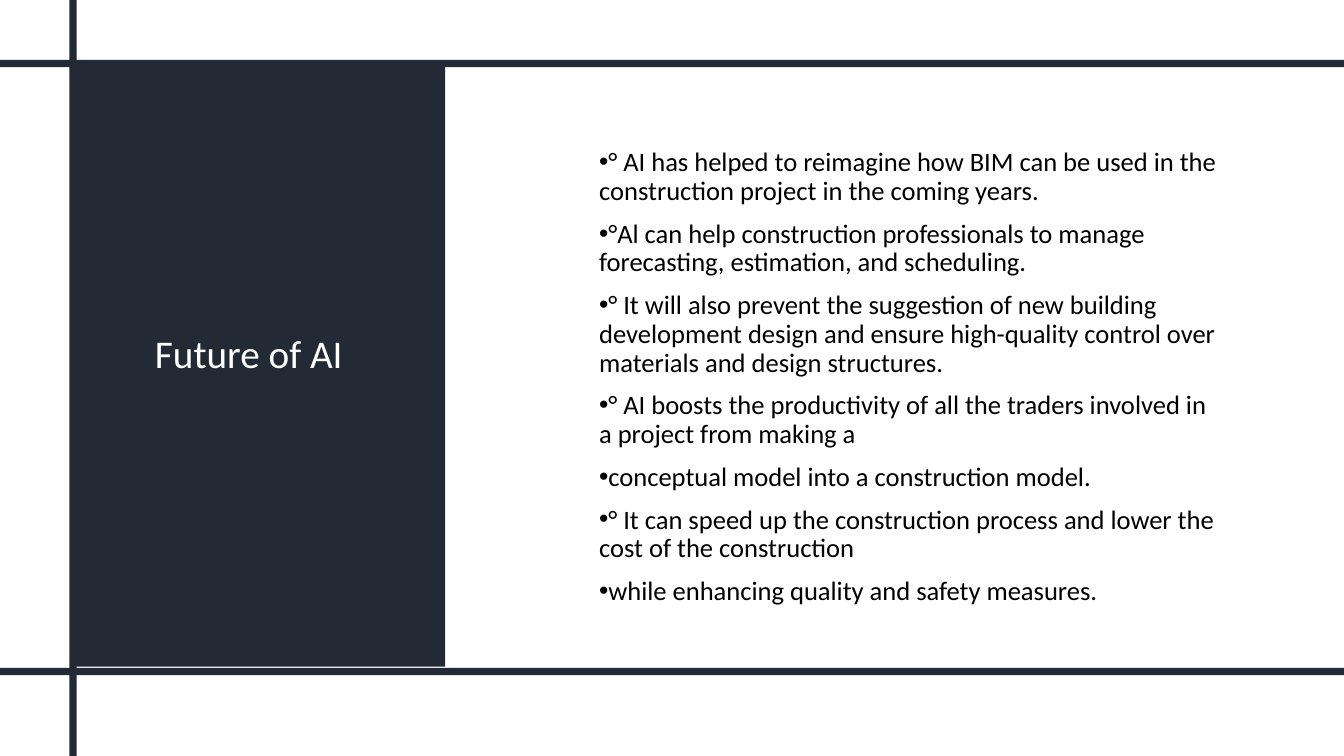
from lxml import etree
from pptx import Presentation
from pptx import util as u
from pptx.dml.color import RGBColor
from pptx.enum import shapes, text
from pptx.oxml.ns import qn

PX = 9525
WIDTH, HEIGHT = 1280, 720
BAR = 7
NAVY = RGBColor(0x22, 0x2A, 0x35)
WHITE = RGBColor(0xFF, 0xFF, 0xFF)
BLACK = RGBColor(0, 0, 0)
FONT = "Calibri"
TITLE = "Future of AI"
POINTS = [
    "° AI has helped to reimagine how BIM can be used in the construction project in the coming years.",
    "°Al can help construction professionals to manage forecasting, estimation, and scheduling.",
    "° It will also prevent the suggestion of new building development design and ensure "
    "high-quality control over materials and design structures.",
    "° AI boosts the productivity of all the traders involved in a project from making a",
    "conceptual model into a construction model.",
    "° It can speed up the construction process and lower the cost of the construction",
    "while enhancing quality and safety measures.",
]


def add_block(s, box):
    """Add a plain navy rectangle in the box."""
    sp = s.shapes.add_shape(shapes.MSO_SHAPE.RECTANGLE, *(v * PX for v in box))
    sp.shadow.inherit = False
    sp.fill.solid()
    sp.fill.fore_color.rgb = NAVY
    sp.line.fill.background()
    return sp


def place_text(sp, box):
    """Move a placeholder into the box and return its text frame."""
    sp.left, sp.top, sp.width, sp.height = (v * PX for v in box)
    tf = sp.text_frame
    tf.word_wrap = True
    tf.auto_size = text.MSO_AUTO_SIZE.NONE
    tf.vertical_anchor = text.MSO_ANCHOR.MIDDLE
    return tf


def write(p, words, size, color):
    """Write one left-aligned run into a paragraph."""
    p.alignment = text.PP_ALIGN.LEFT
    p.line_spacing = 0.9
    r = p.add_run()
    r.text = words
    r.font.name = FONT
    r.font.size = u.Pt(size)
    r.font.color.rgb = color


def add_bullet(p):
    """Give a paragraph a bullet that hangs left of the margin."""
    pPr = p._p.get_or_add_pPr()
    pPr.set("marL", "0")
    pPr.set("indent", str(-24 * PX))
    etree.SubElement(pPr, qn("a:buFont")).set("typeface", "Arial")
    etree.SubElement(pPr, qn("a:buChar")).set("char", "•")


def title_panel(s, box):
    """Build the dark panel with the title on it."""
    left, top, width, height = box
    panel = add_block(s, box)
    title = s.shapes.title
    title.element.addprevious(panel.element)
    tf = place_text(title, (left + 69, top + 42, width - 142, height - 106))
    write(tf.paragraphs[0], TITLE, 28, WHITE)


def point_list(s, box):
    """Fill the body placeholder with the bulleted points."""
    tf = place_text(s.placeholders[1], box)
    for i, point in enumerate(POINTS):
        p = tf.add_paragraph() if i else tf.paragraphs[0]
        write(p, point, 19, BLACK)
        p.space_before = u.Pt(10)
        add_bullet(p)


def frame_bars(s, box):
    """Draw the crossing bars over the whole box."""
    left, top, width, height = box
    add_block(s, (left, top + 636, width, BAR))
    add_block(s, (left + 66, top, BAR, height))
    add_block(s, (left, top + 57, width, BAR))


def main():
    """Build and save the slide."""
    prs = Presentation()
    prs.slide_width, prs.slide_height = WIDTH * PX, HEIGHT * PX
    s = prs.slides.add_slide(prs.slide_layouts[0])
    title_panel(s, (69, 64, 355, 571))
    point_list(s, (561, 135, 609, 449))
    frame_bars(s, (0, 0, WIDTH, HEIGHT))
    prs.save("out.pptx")


if __name__ == "__main__":
    main()
